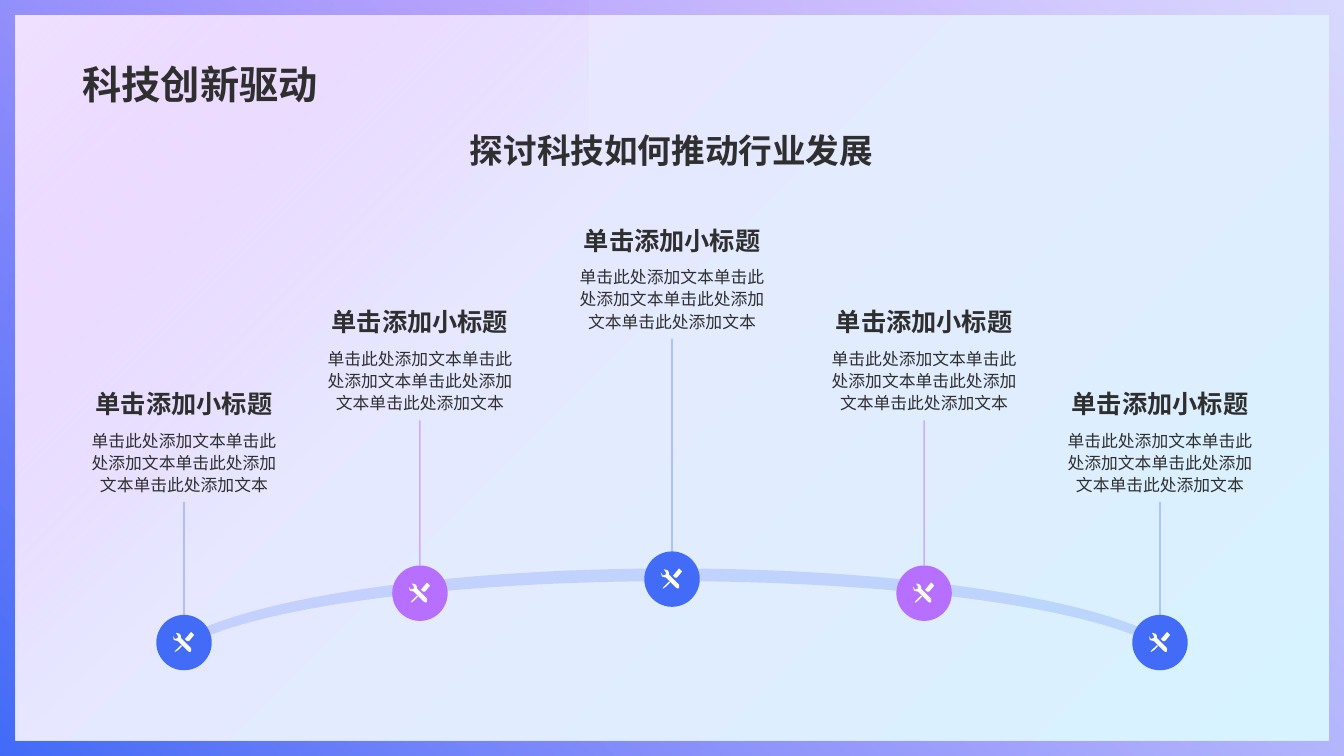
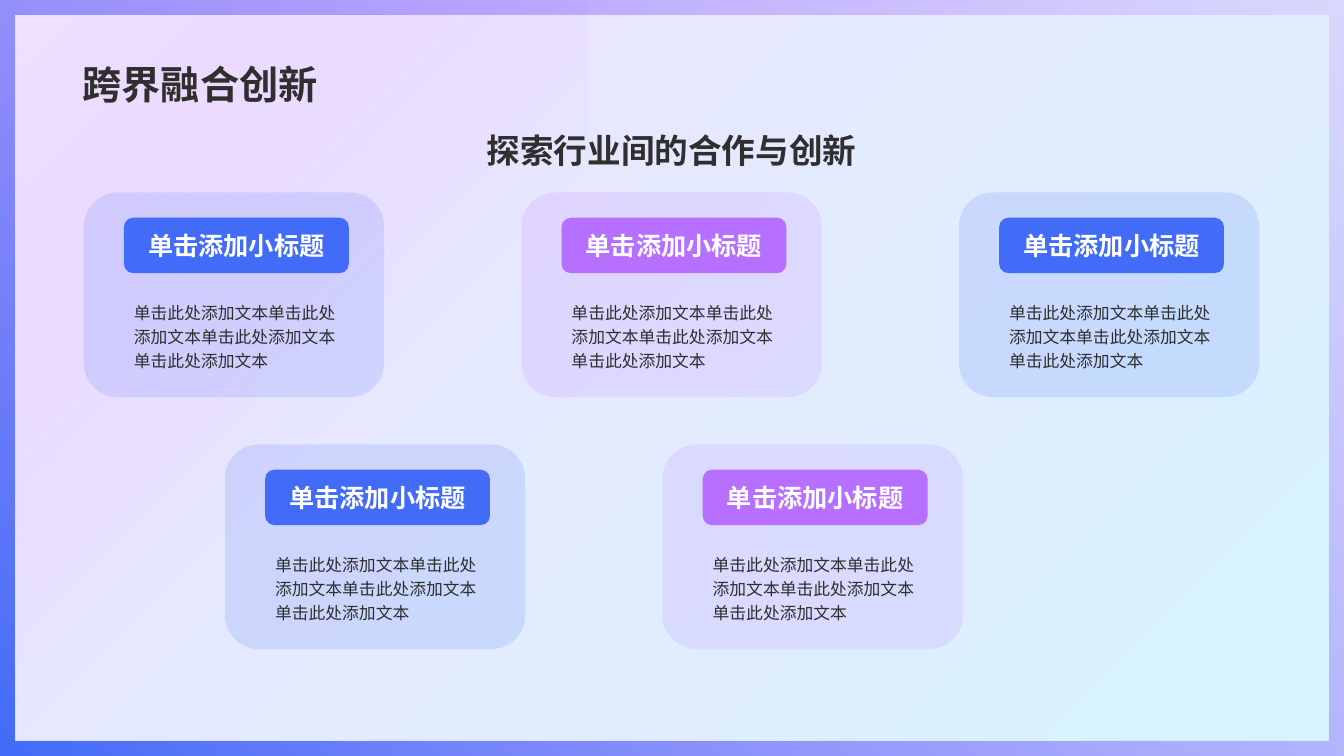
from lxml import etree
from pptx import Presentation
from pptx import util as u
from pptx.dml.color import RGBColor
from pptx.enum import lang, shapes, text
from pptx.oxml.ns import qn

BLUE, PURPLE, PINK, INK, WHITE = "426CF8", "B66FFF", "F0E2FF", "2F2F2F", "FFFFFF"
WIDTH, HEIGHT = 13.33, 7.5
LEFT, SPAN = 0.72, 11.88
HEADING = "单击添加小标题"
BODY = "单击此处添加文本" * 4
FORM = shapes.MSO_SHAPE
ALIGN, ANCHOR = text.PP_ALIGN, text.MSO_ANCHOR


def paint(fill, *colours, owner=None, alpha=100, angle=0, end=1):
    """Fill with one colour or a two-colour gradient; alpha fades the last colour."""
    if len(colours) == 1:
        fill.solid()
        fill.fore_color.rgb = RGBColor.from_string(colours[0])
    else:
        fill.gradient()
        fill.gradient_angle = angle
        for stop, colour, position in zip(fill.gradient_stops, colours, (0, end)):
            stop.color.rgb = RGBColor.from_string(colour)
            stop.position = position
    if alpha < 100:
        last = list(owner.element.spPr.iter(qn("a:srgbClr")))[-1]
        etree.SubElement(last, qn("a:alpha")).set("val", str(alpha * 1000))


def write(box, words, size=12, colour=INK, bold=False, align=ALIGN.LEFT,
          anchor=ANCHOR.TOP, spacing=1.0):
    frame = box.text_frame
    frame.word_wrap = True
    frame.vertical_anchor = anchor
    para = frame.paragraphs[0]
    para.alignment = align
    para.line_spacing = spacing
    span = para.add_run()
    span.text = words
    span.font.name = "Arial"
    span.font.size = u.Pt(size)
    span.font.bold = bold
    span.font.language_id = lang.MSO_LANGUAGE_ID.SIMPLIFIED_CHINESE
    paint(span.font.fill, colour)


deck = Presentation()
deck.slide_width, deck.slide_height = u.Inches(WIDTH), u.Inches(HEIGHT)

# Shared layout: background gradient, title position
layout = deck.slide_layouts.get_by_name("Title Only")
paint(layout.background.fill, PINK, "D6F3FF", angle=315)
title = layout.placeholders[0]
title.left, title.top, title.width, title.height = map(u.Inches, (LEFT, 0.14, SPAN, 0.98))

pages = []
for name, subtitle in (("科技创新驱动", "探讨科技如何推动行业发展"),
                       ("跨界融合创新", "探索行业间的合作与创新")):
    page = deck.slides.add_slide(layout)
    write(page.shapes.title, name, size=28, bold=True, anchor=ANCHOR.BOTTOM)
    box = page.shapes.add_textbox(*map(u.Inches, (LEFT, 1.24, SPAN, 0.5)))
    write(box, subtitle, size=24, bold=True, align=ALIGN.CENTER)
    pages.append(page)
journey, cards = pages

# Glow and frame are drawn on a page, then moved behind the layout's placeholders
glow = journey.shapes.add_shape(FORM.RECTANGLE, 0, 0, u.Inches(5.84), deck.slide_height)
paint(glow.fill, PINK, "E2C5FF", owner=glow, alpha=0, angle=315, end=0.57)
frame = journey.shapes.add_shape(FORM.FRAME, 0, 0, deck.slide_width, deck.slide_height)
frame.adjustments[0] = 0.021
paint(frame.fill, BLUE, PURPLE, owner=frame, alpha=16, angle=45)
for order, band in enumerate((glow, frame)):
    band.line.fill.background()
    band.shadow.inherit = False
    band.element.nvSpPr.cNvPr.set("id", str(20 + order))
    layout.shapes.element.insert(2 + order, band.element)

# Five stops along an arc, mirrored about the centre
arc = journey.shapes.add_shape(FORM.BLOCK_ARC, *map(u.Inches, (1.49, 5.64, 10.35, 2.1)))
for index, value in enumerate((110.78, 213.48, 0.06)):
    arc.adjustments[index] = value
paint(arc.fill, BLUE, owner=arc, alpha=20)
arc.line.fill.background()
arc.shadow.inherit = False

DISC, COLUMN = 0.55, 2.19
TOOLS = (  # outlines in hundredths of an inch
    ((4, 1), (7, 2), (8, 4), (8, 6), (18, 16), (18, 19), (17, 20), (15, 19),
     (5, 9), (1, 8), (0, 4), (2, 7), (5, 6), (5, 4), (3, 1)),
    ((8, 13), (9, 14), (6, 17), (5, 18), (2, 20), (2, 19), (4, 17), (5, 16)),
    ((18, 0), (21, 3), (16, 9), (14, 9), (12, 7), (13, 6)),
)
STOPS = ((-4.84, 6.1, 2, BLUE), (-2.5, 5.61, 1, PURPLE), (0, 5.47, 0, BLUE),
         (2.5, 5.61, 1, PURPLE), (4.84, 6.1, 2, BLUE))
for offset, disc_top, step, colour in STOPS:
    centre = WIDTH / 2 + offset
    top = 2.16 + 0.81 * step

    stem = journey.shapes.add_connector(
        shapes.MSO_CONNECTOR.STRAIGHT,
        *map(u.Inches, (centre, disc_top, centre, top + 1.2)))
    stem.line.width = u.Pt(1)
    paint(stem.line.fill, colour, owner=stem, alpha=50)
    etree.SubElement(stem.element.spPr, qn("a:effectLst"))

    disc = journey.shapes.add_shape(
        FORM.OVAL, *map(u.Inches, (centre - DISC / 2, disc_top, DISC, DISC)))
    paint(disc.fill, colour)

    builder = journey.shapes.build_freeform(*TOOLS[0][0], scale=u.Inches(0.01))
    for outline in TOOLS:
        builder.move_to(*outline[0])
        builder.add_line_segments(outline[1:], close=True)
    icon = builder.convert_to_shape(u.Inches(centre - 0.11), u.Inches(disc_top + 0.17))
    paint(icon.fill, WHITE)
    for shape in (disc, icon):
        shape.line.fill.background()
        shape.shadow.inherit = False

    left = centre - COLUMN / 2
    heading = journey.shapes.add_textbox(*map(u.Inches, (left, top, COLUMN, 0.42)))
    write(heading, HEADING, size=18, bold=True, align=ALIGN.CENTER, anchor=ANCHOR.BOTTOM)
    body = journey.shapes.add_textbox(*map(u.Inches, (left, top + 0.42, COLUMN, 0.78)))
    write(body, BODY, align=ALIGN.CENTER, spacing=1.1)

# Cards: three above, two below and shifted right
for row, colours in enumerate(((BLUE, PURPLE, BLUE), (BLUE, PURPLE))):
    for column, colour in enumerate(colours):
        left, top = 0.83 + 4.34 * column + 1.4 * row, 1.91 + 2.5 * row
        card = cards.shapes.add_shape(
            FORM.ROUNDED_RECTANGLE, *map(u.Inches, (left, top, 2.98, 2.03)))
        paint(card.fill, colour, owner=card, alpha=15)
        label = cards.shapes.add_shape(
            FORM.ROUNDED_RECTANGLE, *map(u.Inches, (left + 0.4, top + 0.25, 2.23, 0.55)))
        paint(label.fill, colour)
        for shape in (card, label):
            shape.line.fill.background()
            shape.shadow.inherit = False
        write(label, HEADING, size=18, colour=WHITE, bold=True, align=ALIGN.CENTER,
              anchor=ANCHOR.MIDDLE)
        body = cards.shapes.add_textbox(*map(u.Inches, (left + 0.4, top + 1, 2.23, 0.95)))
        write(body, BODY, spacing=1.2)

deck.save("out.pptx")
